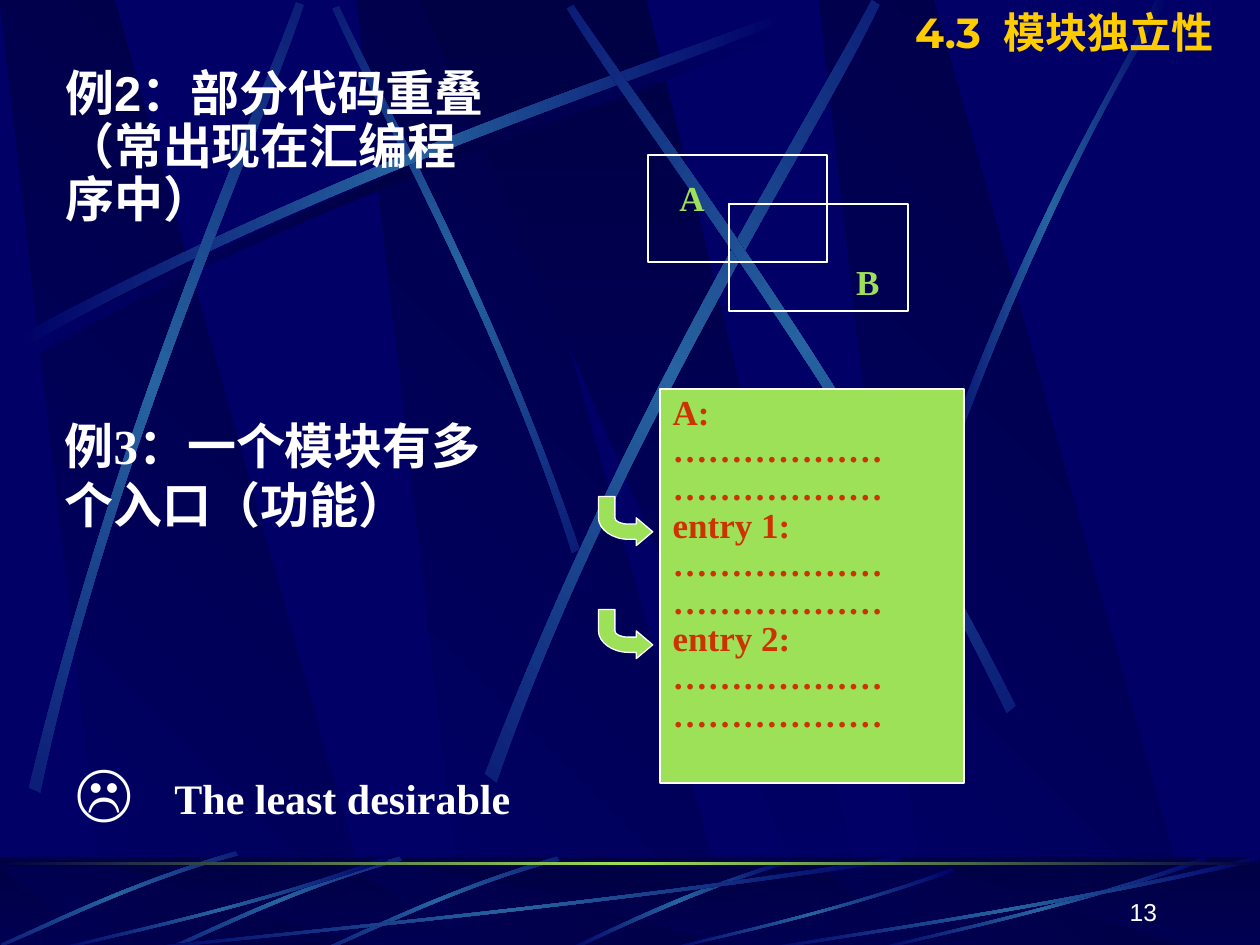
from copy import deepcopy
from dataclasses import dataclass
from math import cos, radians, sin

from lxml.etree import SubElement
from pptx import Presentation
from pptx.dml.color import RGBColor
from pptx.enum.shapes import MSO_SHAPE as SHAPE
from pptx.enum.text import MSO_ANCHOR as ANCHOR, PP_ALIGN as ALIGN
from pptx.oxml.ns import qn
from pptx.util import Pt


@dataclass(frozen=True)
class Theme:
    navy: str = "000066"
    dark: str = "000044"
    blue: str = "2663A0"
    green: str = "9CE157"
    red: str = "CC3300"
    white: str = "FFFFFF"
    gold: str = "FFCC00"
    sans: str = "Arial"
    serif: str = "Times New Roman"
    display: str = "Montserrat"
    body: int = 28
    title: int = 24
    label: int = 20
    icon: int = 36
    number: int = 14


T = Theme()
BEAM = (T.navy, T.blue, T.navy)
# Two Bezier edges of four points each, and the rotation of the beam's frame
TOP_BEAMS = [
    ([(331.2, 313.9), (281.5, 168.5), (217.4, 55.4), (193.7, 3.6),
      (190.1, 5), (212.4, 56.9), (286.6, 185.8), (326.9, 316.1)], 45),
    ([(10.1, 192.2), (200.2, 90), (373, 36.7), (446.4, 7.2),
      (448.6, 11.5), (375.8, 43.9), (178.6, 103), (12.2, 199.4)], 0),
    ([(16.6, 450), (67, 240.5), (141.8, 75.6), (169.2, 1.4),
      (173.5, 2.9), (149, 77.8), (61.9, 265), (23, 452.9)], 311.7),
    ([(277.2, 442.1), (358.6, 230.4), (459.4, 73.4), (498.2, 0),
      (502.6, 2.9), (467.3, 77.8), (349.9, 255.6), (283.7, 447.1)], 321.6),
    ([(580.3, 403.2), (483.1, 211), (371.5, 68.4), (327.6, 2.9),
      (324, 5), (365, 72.7), (493.2, 234), (575.3, 407.5)], 34.8),
    ([(531.4, 283), (586.1, 124.6), (639.4, 47.5), (660.2, 0),
      (667.4, 0), (601.9, 104.4), (553.7, 231.8), (535.7, 285.8)], 0),
]
FOOT_BEAM = [(451.4, 491), (386.6, 510.5), (343.4, 534.2), (322.6, 542.9),
             (326.2, 543.6), (352.8, 530.6), (411.1, 504), (452.2, 493.2)]
TILTED_BEAM = [(228.2, 489.6), (165.6, 507.6), (116.6, 532.8), (94.3, 542.2),
               (95, 543.6), (117.4, 535), (172.8, 506.2), (229.7, 491.8)]
# Fractions of the box that a sweeping beam fills
SWEEP = [(1, .04), (.57, .57), (.17, .85), (.01, 1), (0, .98), (.17, .82), (.62, .5), (.99, 0)]
SWEEP_BOXES = [(72, 489.6, 444, 54), (30, 489.6, 192, 54), (379.4, 496, 166.3, 47.5),
               (498, 489.6, 192, 54), (432, 489.6, 288, 54)]
ARROW = [(31, 20.2), (21.6, 28.1), (21.6, 24.5), (17.3, 24.5), (7.9, 24.5), (0, 18.7),
         (0, 12.2), (0, 0), (9.4, 0), (9.4, 12.2), (9.4, 14.4), (13, 15.8), (17.3, 15.8),
         (21.6, 15.8), (21.6, 12.2)]


def paint(sp, fill=None, line=None, width=1.25, angle=0, alpha=None):
    """Fill with one colour, or with a gradient when fill is a tuple."""
    sp.shadow.inherit = False
    if isinstance(fill, tuple):
        sp.fill.gradient()
        stops = sp._element.spPr.find(qn("a:gradFill")).find(qn("a:gsLst"))
        for _ in fill[2:]:
            stops.append(deepcopy(stops[0]))
        for i, (stop, color) in enumerate(zip(sp.fill.gradient_stops, fill)):
            stop.color.rgb = RGBColor.from_string(color)
            stop.position = i / (len(fill) - 1)
        sp.fill.gradient_angle = angle
    elif fill:
        sp.fill.solid()
        sp.fill.fore_color.rgb = RGBColor.from_string(fill)
        if alpha:
            color = sp._element.spPr.find(qn("a:solidFill"))[0]
            SubElement(color, qn("a:alpha")).set("val", str(alpha * 1000))
    else:
        sp.fill.background()
    if line:
        sp.line.color.rgb = RGBColor.from_string(line)
        sp.line.width = Pt(width)
    else:
        sp.line.fill.background()
    return sp


def rect(s, box, **fmt):
    return paint(s.shapes.add_shape(SHAPE.RECTANGLE, *map(Pt, box)), **fmt)


def outline(s, points, dx=0, dy=0, curves=(), **fmt):
    """Closed outline; each index in curves starts three segments that form one Bezier curve."""
    pts = [(Pt(x + dx), Pt(y + dy)) for x, y in points]
    builder = s.shapes.build_freeform(*pts[0], scale=1)
    builder.add_line_segments(pts[1:], close=True)
    sp = builder.convert_to_shape()
    segments = list(sp._element.iter(qn("a:lnTo")))
    for i in curves:
        first, *rest = segments[i:i + 3]
        first.tag = qn("a:cubicBezTo")
        for segment in rest:
            first.append(segment[0])
            first.getparent().remove(segment)
    return paint(sp, **fmt)


def turn(x, y, angle):
    c, d = cos(radians(angle)), sin(radians(angle))
    return x * c - y * d, x * d + y * c


def beam(s, edges, rotation=0, dx=0, dy=0, fill=BEAM):
    """Draw the beam upright, then turn its frame so that the edges land where given."""
    upright = [turn(x + dx, y + dy, -rotation) for x, y in edges]
    sp = outline(s, upright, curves=(0, 4), fill=fill)
    cx, cy = turn(sp.left + sp.width / 2, sp.top + sp.height / 2, rotation)
    sp.left, sp.top = int(cx - sp.width / 2), int(cy - sp.height / 2)
    sp.rotation = rotation


def write(tf, lines, size, color, font=T.serif, bold=True, align=ALIGN.LEFT,
          anchor=ANCHOR.TOP, spacing=1.0, tab=None):
    """Write lines; a line is a string or a list of (text, size, font, tracking) runs."""
    tf.word_wrap = True
    tf.vertical_anchor = anchor
    for i, line in enumerate(lines):
        p = tf.paragraphs[0] if i == 0 else tf.add_paragraph()
        p.alignment, p.line_spacing = align, spacing
        if tab:
            tabs = SubElement(p._p.get_or_add_pPr(), qn("a:tabLst"))
            SubElement(tabs, qn("a:tab"), pos=str(Pt(tab)), algn="l")
        for text, pts, name, track in [(line, size, font, 0)] if isinstance(line, str) else line:
            r = p.add_run()
            r.text = text
            r.font.size, r.font.name, r.font.bold = Pt(pts), name, bold
            r.font.color.rgb = RGBColor.from_string(color)
            if track:
                r._r.get_or_add_rPr().set("spc", str(track * 100))


def label(s, box, *lines, **fmt):
    write(s.shapes.add_textbox(*map(Pt, box)).text_frame, lines, **fmt)


def panels(s, box):
    """Slanted dark bands across the box."""
    x, y, w, h = box
    for left in (203.8, 0, 468):
        outline(s, [(61.9, h), (217.4, h), (65.5, 0), (0, 0)], x + left, y,
                fill=(T.navy, T.dark), angle=45)
    outline(s, [(240, 0), (473.8, h), (499.7, h), (369.4, 0)], x, y,
            fill=(T.dark, T.navy), angle=270)


def backdrop(s, box):
    panels(s, box)
    beam(s, TOP_BEAMS[1][0], dx=4.3, dy=5.8, fill=(T.navy, T.dark, T.navy))
    for edges, rotation in TOP_BEAMS:
        beam(s, edges, rotation)


def footer(s, box):
    x, y, w, h = box
    rect(s, box, fill=(T.dark, T.navy), angle=270)
    panels(s, (x, y + 5.8, w, h - 6))
    rect(s, box, fill=T.dark, alpha=50)
    beam(s, FOOT_BEAM)
    for dx, dy in ((90, 0), (0, 0), (-93.6, -3)):
        beam(s, TILTED_BEAM, 314.9, dx, dy)
    for left, top, width, height in SWEEP_BOXES:
        beam(s, [(left + u * width, top + v * height) for u, v in SWEEP])
    rect(s, (x, y + 2.9, w, 1.7), fill=(T.dark, T.green, T.dark))
    label(s, (x + 518.4, y + 7.2, 149.8, 36), "13", size=T.number, color=T.white,
          font=T.sans, bold=False, align=ALIGN.RIGHT, anchor=ANCHOR.BOTTOM)


def overlap_diagram(s, box):
    """Two equal rectangles, A and B, at opposite corners of the box, and their overlap."""
    x, y, w, h = box
    rw, rh = 102.2, 61.2
    bx, by = x + w - rw, y + h - rh
    tag = dict(size=T.label, color=T.green, align=ALIGN.CENTER)
    label(s, (bx + 50.8, by + 5, 57, 56), "B", spacing=2.0, **tag)
    label(s, (x - 3.3, y - 10.4, 57, 56), "A", spacing=1.8, **tag)
    for part in ((x, y, rw, rh), (bx, by, rw, rh), (bx, by, x + rw - bx, y + rh - by)):
        rect(s, part, line=T.white)


def entry_diagram(s, box):
    """Module listing with a curved arrow at each of its entries."""
    x, y, w, h = box
    sp = rect(s, box, fill=T.green, line=T.white)
    dots = "………………"
    lines = [t for head in ("A:", "entry 1:", "entry 2:") for t in (head, dots, dots)]
    write(sp.text_frame, lines, size=T.label, color=T.red, align=ALIGN.JUSTIFY, spacing=0.9)
    for i in range(2):
        outline(s, ARROW, x - 35.3, y + 61.6 + i * 64.6, curves=(3, 9),
                fill=T.green, line=T.white, width=0.75)


def main():
    prs = Presentation()
    prs.slide_width, prs.slide_height = Pt(720), Pt(540)
    s = prs.slides.add_slide(prs.slide_layouts[6])
    s.background.fill.solid()
    s.background.fill.fore_color.rgb = RGBColor.from_string(T.navy)
    backdrop(s, (0, 0, 720, 541))
    footer(s, (0, 489.6, 720, 54))
    label(s, (30.2, 36, 258, 108), "例2：部分代码重叠（常出现在汇编程序中）",
          size=T.body, color=T.white, font=T.sans, spacing=0.9)
    overlap_diagram(s, (370.2, 88.4, 148.6, 89.2))
    label(s, (30, 234, 252, 75), "例3：一个模块有多个入口（功能）", size=T.body, color=T.white)
    entry_diagram(s, (377.3, 222.1, 173.5, 225.2))
    label(s, (36, 426.2, 282, 50.4),
          [("☹\t", T.icon, T.sans, 0), ("The least desirable", T.title, T.serif, 0)],
          size=T.title, color=T.white, tab=56.6)
    label(s, (490.3, 0, 210.2, 36),
          [("4.3", T.title, T.display, 0), (" ", T.title, T.display, 6),
           ("模块独立性", T.title, T.display, 0)],
          size=T.title, color=T.gold, align=ALIGN.RIGHT, anchor=ANCHOR.MIDDLE)
    prs.save("out.pptx")


if __name__ == "__main__":
    main()
